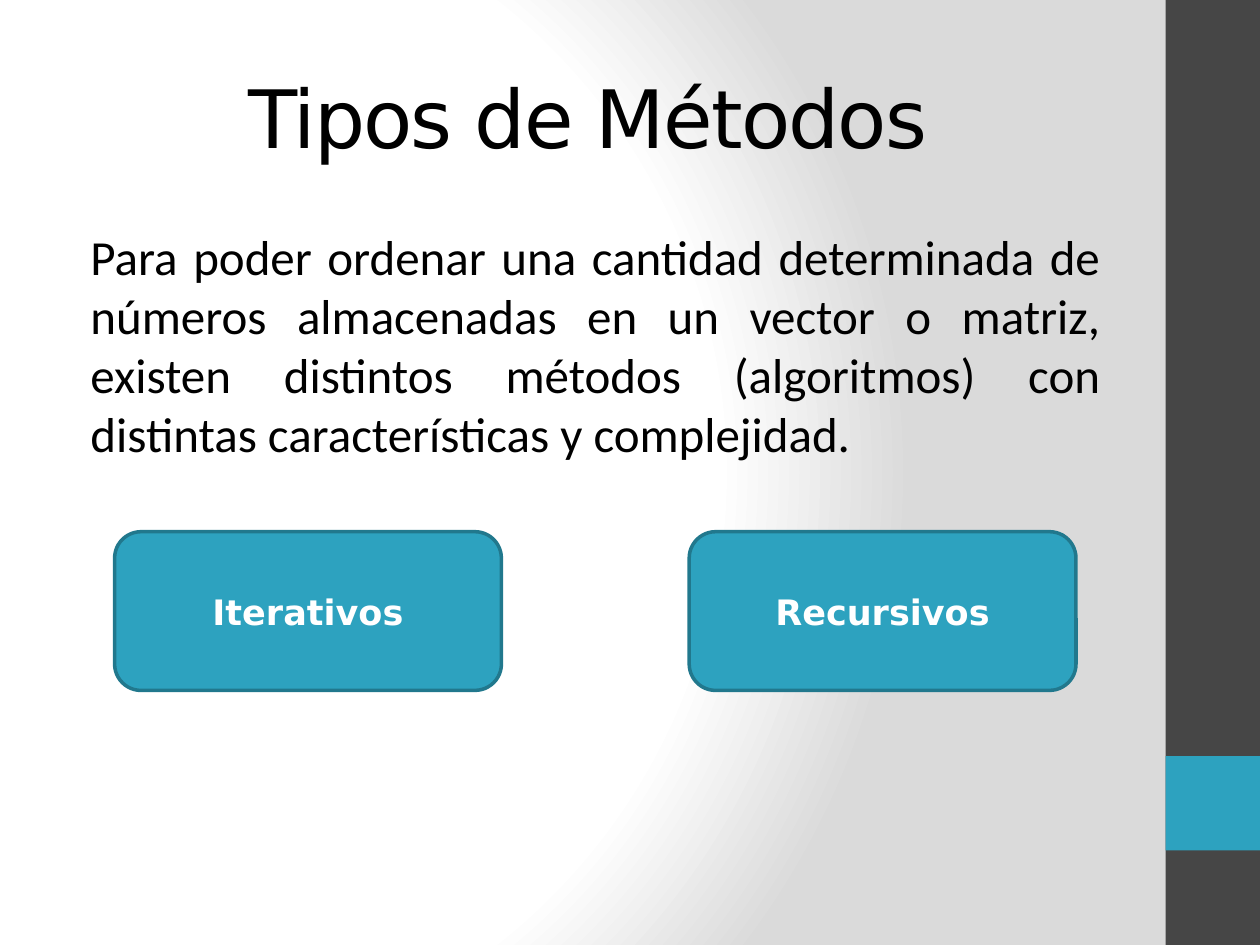
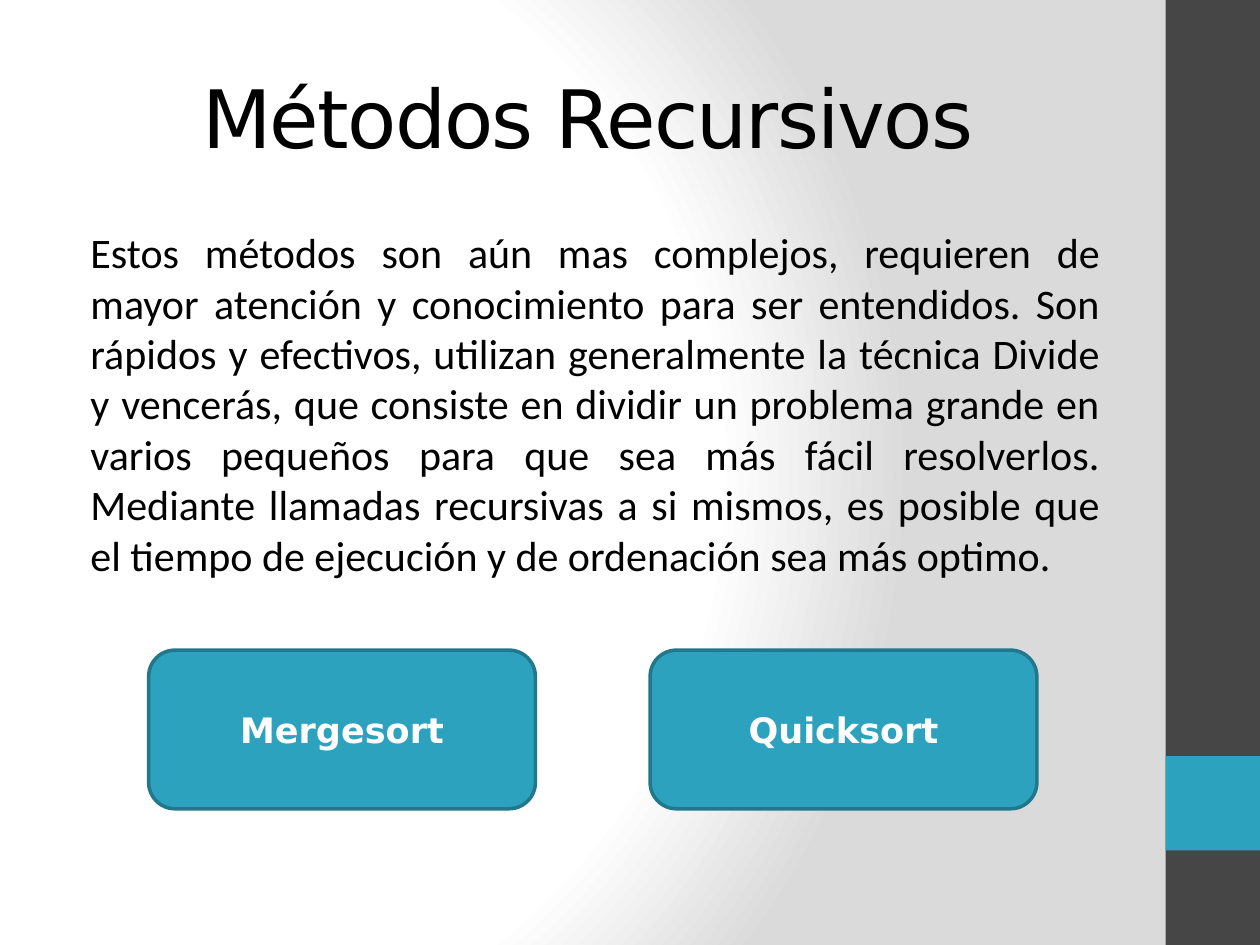
from lxml import etree
from pptx import Presentation
from pptx.dml.color import RGBColor
from pptx.enum.shapes import MSO_SHAPE
from pptx.enum.text import MSO_ANCHOR, PP_ALIGN
from pptx.oxml import parse_xml
from pptx.oxml.ns import qn
from pptx.util import Inches, Pt

COLORS = {
    "white": "FFFFFF",
    "shade": "DADADA",
    "band": "464646",
    "accent": "2DA2BF",
    "outline": "21788D",
    "text": "000000",
}
HEADING_FONT = "DejaVu Sans"
BODY_FONT = "Calibri"
TEXT_LEFT, TEXT_WIDTH = 0.5, 8.33
BOX_WIDTH, BOX_HEIGHT = 3.07, 1.26

SLIDES = [
    {
        "title": "Tipos de Métodos",
        "body": "Para poder ordenar una cantidad determinada de números "
                "almacenadas en un vector o matriz, existen distintos métodos "
                "(algoritmos) con distintas características y complejidad.",
        "body_size": 28,
        "boxes": [("Iterativos", 0.91), ("Recursivos", 5.47)],
        "box_top": 4.22,
    },
    {
        "title": "Métodos Recursivos",
        "body": "Estos métodos son aún mas complejos, requieren de mayor "
                "atención y conocimiento para ser entendidos. Son rápidos y "
                "efectivos, utilizan generalmente la técnica Divide y vencerás, "
                "que consiste en dividir un problema grande en varios pequeños "
                "para que sea más fácil resolverlos. Mediante llamadas "
                "recursivas a si mismos, es posible que el tiempo de ejecución "
                "y de ordenación sea más optimo.",
        "body_size": 24,
        "boxes": [("Mergesort", 1.18), ("Quicksort", 5.16)],
        "box_top": 5.16,
    },
]


def rgb(name):
    return RGBColor.from_string(COLORS[name])


def set_background(slide):
    slide.background.fill.gradient()
    old = slide.element.find(".//" + qn("a:gradFill"))
    stops = "".join(
        f'<a:gs pos="{percent * 1000}"><a:srgbClr val="{COLORS[name]}"/></a:gs>'
        for percent, name in [(0, "white"), (75, "white"), (100, "shade")]
    )
    gradient = parse_xml(
        '<a:gradFill xmlns:a="http://schemas.openxmlformats.org/drawingml/2006/main"'
        f' rotWithShape="1"><a:gsLst>{stops}</a:gsLst><a:path path="circle">'
        '<a:fillToRect l="20000" t="50000" r="100000" b="50000"/>'
        "</a:path></a:gradFill>"
    )
    old.getparent().replace(old, gradient)


def add_block(slide, kind, left, top, width, height, fill, line=None):
    shape = slide.shapes.add_shape(
        kind, Inches(left), Inches(top), Inches(width), Inches(height))
    shape.shadow.inherit = False
    shape.fill.solid()
    shape.fill.fore_color.rgb = rgb(fill)
    if line:
        shape.line.color.rgb = rgb(line)
        shape.line.width = Pt(2)
    else:
        shape.line.fill.background()
    return shape


def write(shape, text, size, font, color, align, anchor=MSO_ANCHOR.MIDDLE, bold=False):
    frame = shape.text_frame
    frame.word_wrap = True
    frame.vertical_anchor = anchor
    paragraph = frame.paragraphs[0]
    paragraph.alignment = align
    run = paragraph.add_run()
    run.text = text
    run.font.size = Pt(size)
    run.font.name = font
    run.font.bold = bold
    run.font.color.rgb = rgb(color)
    return paragraph


def add_text_box(slide, top, height):
    return slide.shapes.add_textbox(
        Inches(TEXT_LEFT), Inches(top), Inches(TEXT_WIDTH), Inches(height))


def add_title(slide, text):
    paragraph = write(add_text_box(slide, 0.3, 1.25), text, 46, HEADING_FONT,
                      "text", PP_ALIGN.CENTER)
    paragraph.runs[0].font._element.set("spc", "-100")


def add_body(slide, text, size):
    paragraph = write(add_text_box(slide, 1.75, 0.98), text, size, BODY_FONT,
                      "text", PP_ALIGN.JUSTIFY, MSO_ANCHOR.TOP)
    paragraph.space_before = Pt(size * 0.2)
    paragraph._p.get_or_add_pPr().set("marL", str(Inches(0.12)))


def add_method_box(slide, label, left, top):
    box = add_block(slide, MSO_SHAPE.ROUNDED_RECTANGLE, left, top,
                    BOX_WIDTH, BOX_HEIGHT, "accent", "outline")
    write(box, label, 20, HEADING_FONT, "white", PP_ALIGN.CENTER, bold=True)


def add_base_slide(prs):
    slide = prs.slides.add_slide(prs.slide_layouts[6])
    set_background(slide)
    add_block(slide, MSO_SHAPE.RECTANGLE, 9.25, 0, 0.75, 7.5, "band")
    add_block(slide, MSO_SHAPE.RECTANGLE, 9.25, 6, 0.75, 0.75, "accent")
    return slide


def main():
    prs = Presentation()
    prs.slide_width, prs.slide_height = Inches(10), Inches(7.5)
    for content in SLIDES:
        slide = add_base_slide(prs)
        add_title(slide, content["title"])
        add_body(slide, content["body"], content["body_size"])
        for label, left in content["boxes"]:
            add_method_box(slide, label, left, content["box_top"])
    prs.save("out.pptx")


main()
